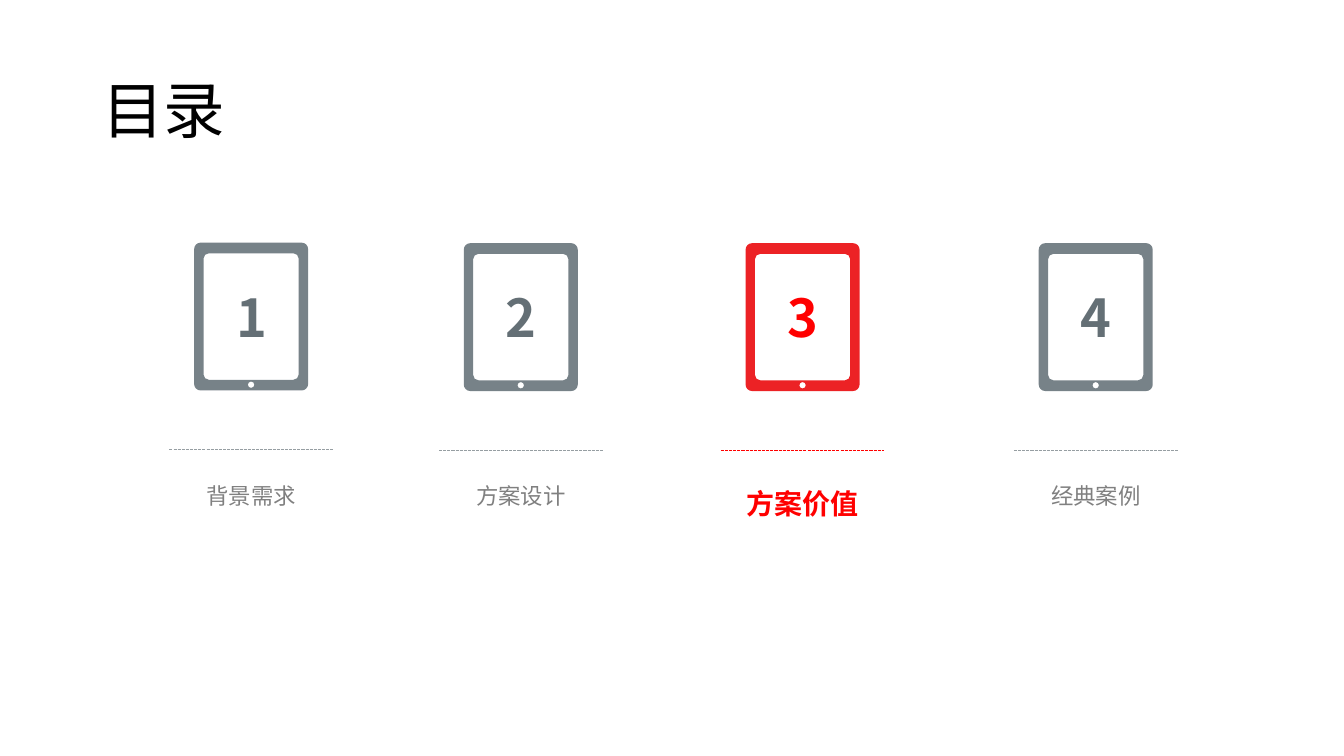
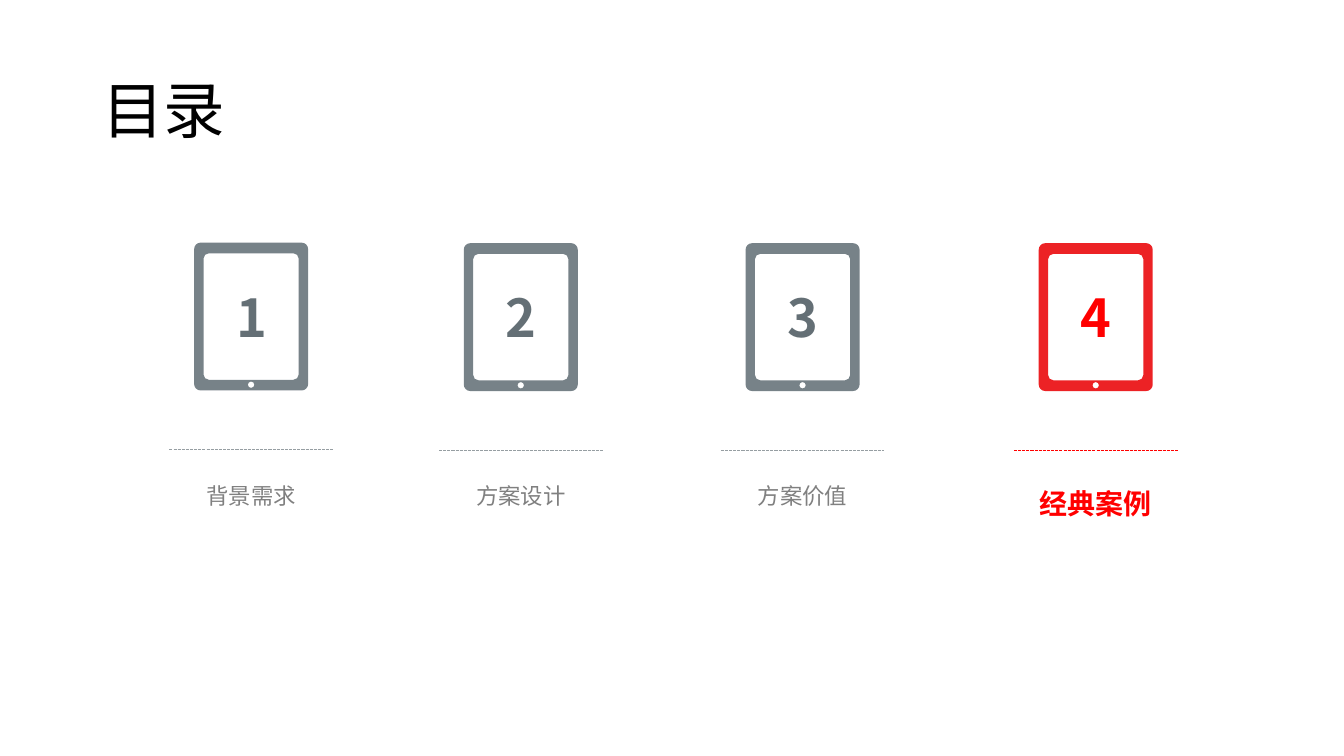
import pptx
import pptx.dml.color
import pptx.enum.dml
import pptx.enum.shapes
import pptx.enum.text
import pptx.oxml.ns
import pptx.util
from lxml import etree

Pt = pptx.util.Pt
qn = pptx.oxml.ns.qn
ALIGN = pptx.enum.text.PP_ALIGN
ANCHOR = pptx.enum.text.MSO_ANCHOR
FONT = "Noto Sans CJK SC"
BLACK, RED, LABEL_GREY = "000000", "FF0000", "808080"
NUMBER_GREY, TABLET_GREY, LINE_GREY = "646F75", "778288", "969EA2"
TABLET_RED = "EC2225"

TITLE_BOX = (66, 28.8, 900, 104.4)
ENTRY_TOP, ENTRY_WIDTH = 173.7, 133.2
TABLET_WIDTH, TABLET_HEIGHT = 81.4, 105.6
LINE_WIDTH = 116.8
ENTRIES = [
    ("背景需求", 179.4, 0.4),
    ("方案设计", 372, 0),
    ("方案价值", 573.3, 0),
    ("经典案例", 782.7, 0),
]


def rgb(code):
    """Return the colour for a hex string."""
    return pptx.dml.color.RGBColor.from_string(code)


def add_text(slide, box, text, size, color, bold=False, align=ALIGN.CENTER,
             spacing=1.3, anchor=ANCHOR.TOP, grow=True):
    """Add a one-paragraph text box."""
    sp = slide.shapes.add_textbox(*map(Pt, box))
    tf = sp.text_frame
    tf.word_wrap = True
    tf.vertical_anchor = anchor
    if grow:
        tf.auto_size = pptx.enum.text.MSO_AUTO_SIZE.SHAPE_TO_FIT_TEXT
    tf.text = text
    p = tf.paragraphs[0]
    p.alignment, p.line_spacing = align, spacing
    r = p.runs[0]
    r.font.size, r.font.bold, r.font.name = Pt(size), bold, FONT
    r.font.color.rgb = rgb(color)
    ea = etree.SubElement(r.font._element, qn("a:ea"))
    ea.set("typeface", FONT)


def rounded_outline(x, y, w, h, radius):
    """Return a start point, then an edge end and three curve points per corner."""
    right, bottom = x + w, y + h
    handle = radius * 0.45
    corners = [(right, y, 1, 0), (right, bottom, 0, 1),
               (x, bottom, -1, 0), (x, y, 0, -1)]
    points = [(x + radius, y)]
    for cx, cy, dx, dy in corners:
        for along, across in ((radius, 0), (handle, 0), (0, handle), (0, radius)):
            points.append((cx - dx * along - dy * across,
                           cy - dy * along + dx * across))
    return [(Pt(px), Pt(py)) for px, py in points]


def curve_corners(sp):
    """Turn the last three of every four line points into one curve."""
    lines = list(sp._element.iter(qn("a:lnTo")))
    for i in range(0, len(lines), 4):
        edge, *bends = lines[i:i + 4]
        curve = etree.Element(qn("a:cubicBezTo"))
        edge.addnext(curve)
        for bend in bends:
            curve.append(bend[0])
            bend.getparent().remove(bend)
        before = edge.getprevious()[-1]
        if dict(before.attrib) == dict(edge[0].attrib):
            edge.getparent().remove(edge)


def add_tablet(slide, x, y, w, h, color):
    """Draw a tablet frame with openings for the screen and the button."""
    button = 2.3
    outlines = [
        rounded_outline(x + w / 2 - button, y + 101.5 - button,
                        2 * button, 2 * button, button),
        rounded_outline(x + 6.7, y + 7.6, w - 13.4, h - 15.2, 3.8),
        rounded_outline(x, y, w, h, 4.6),
    ]
    builder = slide.shapes.build_freeform(*outlines[0][0])
    builder.add_line_segments(outlines[0][1:])
    for outline in outlines[1:]:
        builder.move_to(*outline[0])
        builder.add_line_segments(outline[1:])
    sp = builder.convert_to_shape()
    curve_corners(sp)
    sp.shadow.inherit = False
    sp.fill.solid()
    sp.fill.fore_color.rgb = rgb(color)
    sp.line.fill.background()


def add_dashed_line(slide, x, y, w, color):
    """Draw a thin horizontal dashed line."""
    line = slide.shapes.add_connector(
        pptx.enum.shapes.MSO_CONNECTOR.STRAIGHT, Pt(x), Pt(y), Pt(x + w), Pt(y))
    line.line.width = Pt(0.75)
    line.line.color.rgb = rgb(color)
    line.line.dash_style = pptx.enum.dml.MSO_LINE.SQUARE_DOT
    etree.SubElement(line._element.spPr, qn("a:effectLst"))


def add_entry(slide, x, y, w, lift, number, label, active):
    """Draw one contents entry: numbered tablet, dashed line and label."""
    tablet_x = x + (w - TABLET_WIDTH) / 2
    add_text(slide, (tablet_x + lift, y + 13, TABLET_WIDTH, 59.8), str(number),
             37.3, RED if active else NUMBER_GREY, bold=True)
    add_tablet(slide, tablet_x, y - lift, TABLET_WIDTH, TABLET_HEIGHT,
               TABLET_RED if active else TABLET_GREY)
    add_dashed_line(slide, x + (w - LINE_WIDTH) / 2, y + 148 - lift, LINE_WIDTH,
                    RED if active else LINE_GREY)
    add_text(slide, (x, y + 163.3, w, 36 if active else 28.8), label,
             20 if active else 16, RED if active else LABEL_GREY,
             bold=active, spacing=1.3 if active else 1.2)


def add_contents_slide(prs, current):
    """Add a contents slide with the current entry highlighted."""
    slide = prs.slides.add_slide(prs.slide_layouts[6])
    add_text(slide, TITLE_BOX, "目录", 44, BLACK, align=ALIGN.LEFT,
             spacing=0.9, anchor=ANCHOR.MIDDLE, grow=False)
    for number, (label, center, lift) in enumerate(ENTRIES, 1):
        add_entry(slide, center - ENTRY_WIDTH / 2, ENTRY_TOP, ENTRY_WIDTH,
                  lift, number, label, number == current)


def main():
    """Build and save the presentation."""
    prs = pptx.Presentation()
    prs.slide_width, prs.slide_height = Pt(960), Pt(540)
    for current in (3, 4):
        add_contents_slide(prs, current)
    prs.save("out.pptx")


if __name__ == "__main__":
    main()
